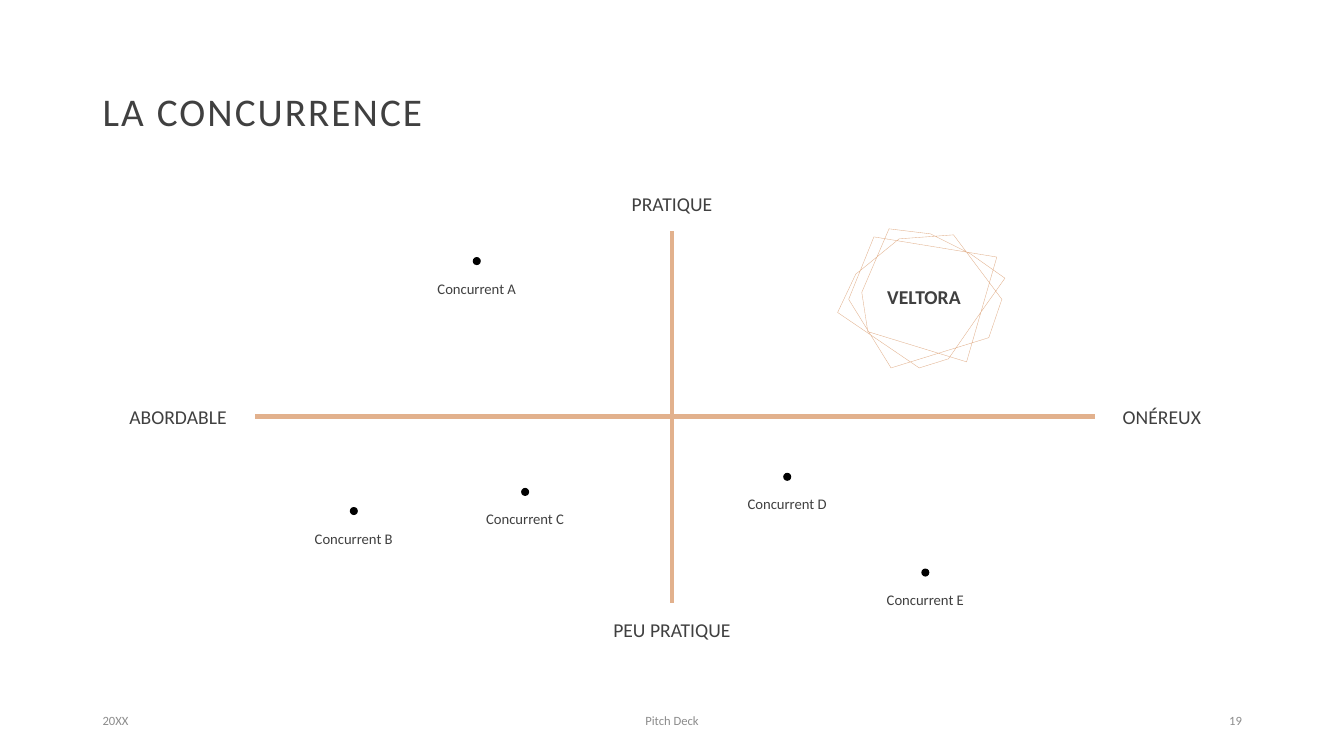
from pptx import Presentation
from pptx.dml.color import RGBColor
from pptx.enum.shapes import MSO_CONNECTOR, MSO_SHAPE
from pptx.enum.text import MSO_ANCHOR, PP_ALIGN
from pptx.oxml.ns import qn
from pptx.util import Inches, Pt
from lxml.etree import SubElement

PEACH = RGBColor(0xE2, 0xB1, 0x8D)
CHARCOAL = RGBColor(0x40, 0x40, 0x40)
GREY = RGBColor(0x8C, 0x8C, 0x8C)
BLACK = RGBColor(0, 0, 0)

deck = Presentation()
deck.slide_width, deck.slide_height = Inches(13.333), Inches(7.5)
page = deck.slides.add_slide(deck.slide_layouts[6])
column, row = deck.slide_width / 40, deck.slide_height / 30


def grid(left, top, width, height):
    return [int(value) for value in (left * column, top * row, width * column, height * row)]


def add_text(words, area, size, color=CHARCOAL, align=PP_ALIGN.CENTER):
    box = page.shapes.add_textbox(*grid(*area))
    frame = box.text_frame
    frame.word_wrap = True
    frame.vertical_anchor = MSO_ANCHOR.MIDDLE
    para = frame.paragraphs[0]
    para.text = words
    para.alignment = align
    para.font.name = "Calibri"
    para.font.size = Pt(size)
    para.font.color.rgb = color
    return para


for ends in [(7.6, 16.52, 32.6, 16.52), (20, 23.92, 20, 9.16)]:
    axis = page.shapes.add_connector(MSO_CONNECTOR.STRAIGHT, *grid(*ends))
    axis.line.color.rgb = PEACH
    axis.line.width = Pt(3.5)
    SubElement(axis.element.spPr, qn("a:effectLst"))

title = add_text("LA CONCURRENCE", (2.76, 1.6, 34.5, 5.8), 28, align=PP_ALIGN.LEFT)
title.line_spacing = 0.9
title.runs[0].font.size = Pt(28)
for properties in page.shapes[-1].element.iter(qn("a:rPr")):
    properties.set("spc", "150")

axis_labels = [
    ("PRATIQUE", 20, 8.08, 5.6),
    ("PEU PRATIQUE", 20, 25, 5.6),
    ("ABORDABLE", 5.3, 16.52, 4.55),
    ("ONÉREUX", 34.58, 16.52, 4.55),
]
for words, center, middle, width in axis_labels:
    add_text(words, (center - width / 2, middle - 1.08, width, 2.16), 14)

competitors = [
    ("A", 14.19, 10.36),
    ("B", 10.53, 20.28),
    ("C", 15.63, 19.52),
    ("D", 23.43, 18.92),
    ("E", 27.54, 22.72),
]
for letter, center, middle in competitors:
    add_text(f"Concurrent\u00a0{letter}".replace("\u00a0", " "), (center - 1.93, middle, 3.86, 2.16), 10.5)
    dot = page.shapes.add_shape(MSO_SHAPE.OVAL, *grid(center - 0.12, middle - 0.16, 0.24, 0.32))
    dot.shadow.inherit = False
    dot.fill.solid()
    dot.fill.fore_color.rgb = BLACK
    dot.line.fill.background()

outline = [
    (2676, 948), (2562, 1072), (2547, 1088), (2493, 1240), (2736, 1460), (2823, 1424), (2904, 1268),
    (2991, 1104), (2889, 1008), (2769, 928), (2646, 908), (2565, 1160), (2583, 1316), (2877, 1436),
    (2967, 1020), (2601, 940), (2526, 1188), (2652, 1460), (2943, 1340), (2982, 1188), (2838, 932),
]
builder = page.shapes.build_freeform(*outline[0], scale=(column / 100, row / 100))
builder.add_line_segments(outline[1:], close=True)
badge = builder.convert_to_shape()
badge.shadow.inherit = False
badge.fill.background()
badge.line.color.rgb = PEACH
badge.line.width = Pt(0.25)
add_text("VELTORA", (24.7, 9.48, 5.6, 4.6), 14).font.bold = True

footers = [
    ("20XX", 2.76, 9, PP_ALIGN.LEFT),
    ("Pitch Deck", 13.25, 13.5, PP_ALIGN.CENTER),
    ("19", 28.26, 9, PP_ALIGN.RIGHT),
]
for words, left, width, align in footers:
    add_text(words, (left, 27.8, width, 1.6), 9, GREY, align)

deck.save("out.pptx")
